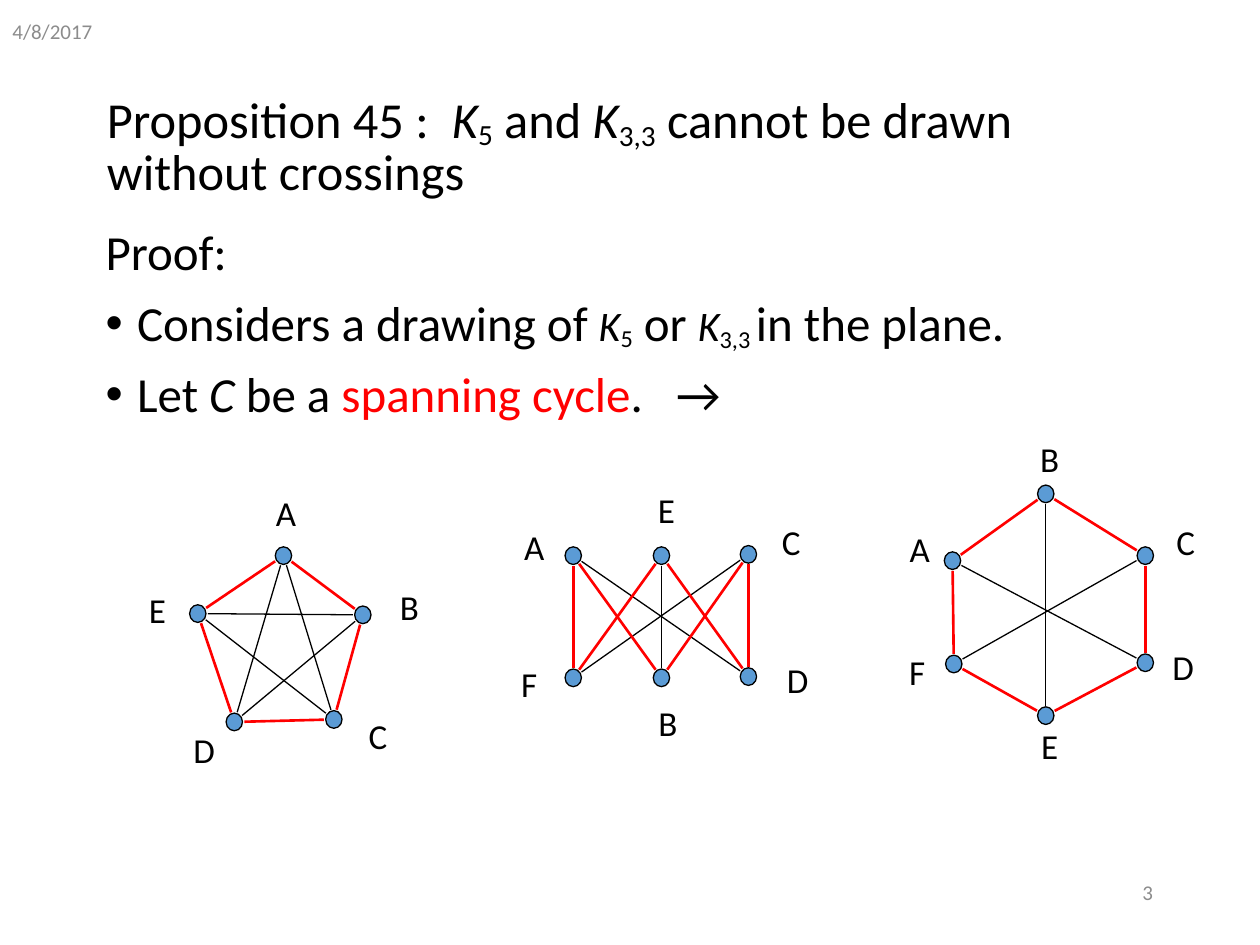
from math import hypot

from lxml import etree
from pptx import Presentation
from pptx.dml.color import RGBColor
from pptx.enum.shapes import MSO_CONNECTOR, MSO_SHAPE
from pptx.enum.text import MSO_ANCHOR, PP_ALIGN
from pptx.oxml.ns import qn
from pptx.util import Inches, Pt

BLACK = RGBColor(0x00, 0x00, 0x00)
RED = RGBColor(0xFF, 0x00, 0x00)
BLUE = RGBColor(0x5B, 0x9B, 0xD5)
GRAY = RGBColor(0x8C, 0x8C, 0x8C)
LEFT, CENTER, RIGHT = PP_ALIGN.LEFT, PP_ALIGN.CENTER, PP_ALIGN.RIGHT
TOP, MIDDLE = MSO_ANCHOR.TOP, MSO_ANCHOR.MIDDLE
OVAL = MSO_SHAPE.OVAL
STRAIGHT = MSO_CONNECTOR.STRAIGHT

TITLE = [
    ("Proposition 45 :  ", {}), ("K", {"italic": True}), ("5", {"base": -14}),
    (" and ", {}), ("K", {"italic": True}), ("3,3", {"base": -16}),
    (" cannot be drawn without crossings", {}),
]
PROOF = [("Proof:", {})]
DRAWING = [
    ("Considers a drawing of ", {}),
    ("K", {"size": 24, "italic": True}), ("5", {"size": 24, "base": -14}),
    (" or ", {}),
    ("K", {"size": 24, "italic": True}), ("3,3 ", {"size": 24, "base": -16}),
    ("in the plane.", {}),
]
CYCLE = [
    ("Let ", {}), ("C ", {"italic": True}), ("be a ", {}),
    ("spanning cycle", {"color": RED}), (".   →", {}),
]

# Each graph: cycle, chords, and per node its centre and label corner.
GRAPHS = [
    ("ABCDE", "AC AD BD BE CE", {
        "A": (2.25, 4.41, 2.06, 3.85), "B": (2.88, 4.88, 3.04, 4.6),
        "C": (2.65, 5.71, 2.79, 5.62), "D": (1.86, 5.73, 1.41, 5.73),
        "E": (1.57, 4.87, 1.04, 4.62)}),
    ("ABCDEF", "AD BE CF", {
        "A": (4.55, 4.41, 4.03, 4.12), "B": (5.25, 5.38, 5.09, 5.52),
        "C": (5.94, 4.4, 6.07, 4.08), "D": (5.94, 5.37, 6.12, 5.18),
        "E": (5.25, 4.41, 5.08, 3.83), "F": (4.55, 5.38, 3.99, 5.21)}),
    ("ABCDEF", "AD BE CF", {
        "A": (7.56, 4.45, 7.09, 4.14), "B": (8.3, 3.92, 8.12, 3.42),
        "C": (9.09, 4.41, 9.2, 4.08), "D": (9.09, 5.26, 9.18, 5.07),
        "E": (8.3, 5.68, 8.12, 5.7), "F": (7.57, 5.27, 7.07, 5.11)}),
]


class Deck:
    """Hold the text style and the current slide."""

    def __init__(self, slide, face="Calibri"):
        self.slide = slide
        self.face = face

    def box(self, at, anchor=TOP):
        frame = self.slide.shapes.add_textbox(*map(Inches, at)).text_frame
        frame.word_wrap = True
        frame.vertical_anchor = anchor
        return frame

    def para(self, para, runs, size, color=BLACK, align=LEFT):
        para.alignment = align
        para.font.name = self.face
        para.font.size = Pt(size)
        para.font.color.rgb = color
        for text, look in runs:
            run = para.add_run()
            run.text = text
            if "size" in look:
                run.font.size = Pt(look["size"])
            if "italic" in look:
                run.font.italic = True
            if "color" in look:
                run.font.color.rgb = look["color"]
            if "base" in look:
                run.font._element.set("baseline", str(look["base"] * 1000))

    def text(self, at, runs, size, color=BLACK, align=LEFT, anchor=TOP, pitch=1.0):
        para = self.box(at, anchor).paragraphs[0]
        para.line_spacing = pitch
        self.para(para, runs, size, color, align)

    def body(self, at, items, size):
        frame = self.box(at)
        for num, (runs, dot) in enumerate(items):
            para = frame.add_paragraph() if num else frame.paragraphs[0]
            para.line_spacing = 0.9
            if num:
                para.space_before = Pt(10)
            props = para._p.get_or_add_pPr()
            props.set("marL", str(Inches(0.25)))
            props.set("indent", str(-Inches(0.25)))
            if dot:
                font = etree.SubElement(props, qn("a:buFont"))
                font.set("typeface", "Arial")
                etree.SubElement(props, qn("a:buChar")).set("char", "•")
            self.para(para, runs, size)

    def edge(self, start, end, color, width, trim=0.08):
        (x, y), (u, v) = start, end
        part = trim / hypot(u - x, v - y)
        dx, dy = (u - x) * part, (v - y) * part
        ends = map(Inches, (x + dx, y + dy, u - dx, v - dy))
        line = self.slide.shapes.add_connector(STRAIGHT, *ends)
        line.line.color.rgb = color
        line.line.width = Pt(width)
        etree.SubElement(line._element.spPr, qn("a:effectLst"))

    def node(self, x, y, wide=0.13, high=0.14):
        at = map(Inches, (x - wide / 2, y - high / 2, wide, high))
        dot = self.slide.shapes.add_shape(OVAL, *at)
        dot.shadow.inherit = False
        dot.fill.solid()
        dot.fill.fore_color.rgb = BLUE
        dot.line.color.rgb = BLACK
        dot.line.width = Pt(0.75)

    def graph(self, cycle, chords, nodes):
        for a, b in chords.split():
            self.edge(nodes[a][:2], nodes[b][:2], BLACK, 0.75)
        for a, b in zip(cycle, cycle[1:] + cycle[0]):
            self.edge(nodes[a][:2], nodes[b][:2], RED, 1.5)
        for name, (x, y, left, top) in nodes.items():
            self.node(x, y)
            self.text((left, top, 0.42, 0.43), [(name, {})], 20, align=CENTER)


def main():
    show = Presentation()
    show.slide_width, show.slide_height = Inches(10), Inches(7.5)
    deck = Deck(show.slides.add_slide(show.slide_layouts[6]))
    deck.text((0, 0, 2.08, 0.5), [("4/8/2017", {})], 12, GRAY, anchor=MIDDLE)
    deck.text((7.17, 6.83, 2.08, 0.5), [("3", {})], 12, GRAY, RIGHT, MIDDLE)
    deck.text((0.75, 0.67, 8.5, 1), TITLE, 28.8, anchor=MIDDLE, pitch=0.85)
    items = [(PROOF, False), (DRAWING, True), (CYCLE, True)]
    deck.body((0.74, 1.76, 8.56, 1.71), items, 28)
    for graph in GRAPHS:
        deck.graph(*graph)
    show.save("out.pptx")


if __name__ == "__main__":
    main()
